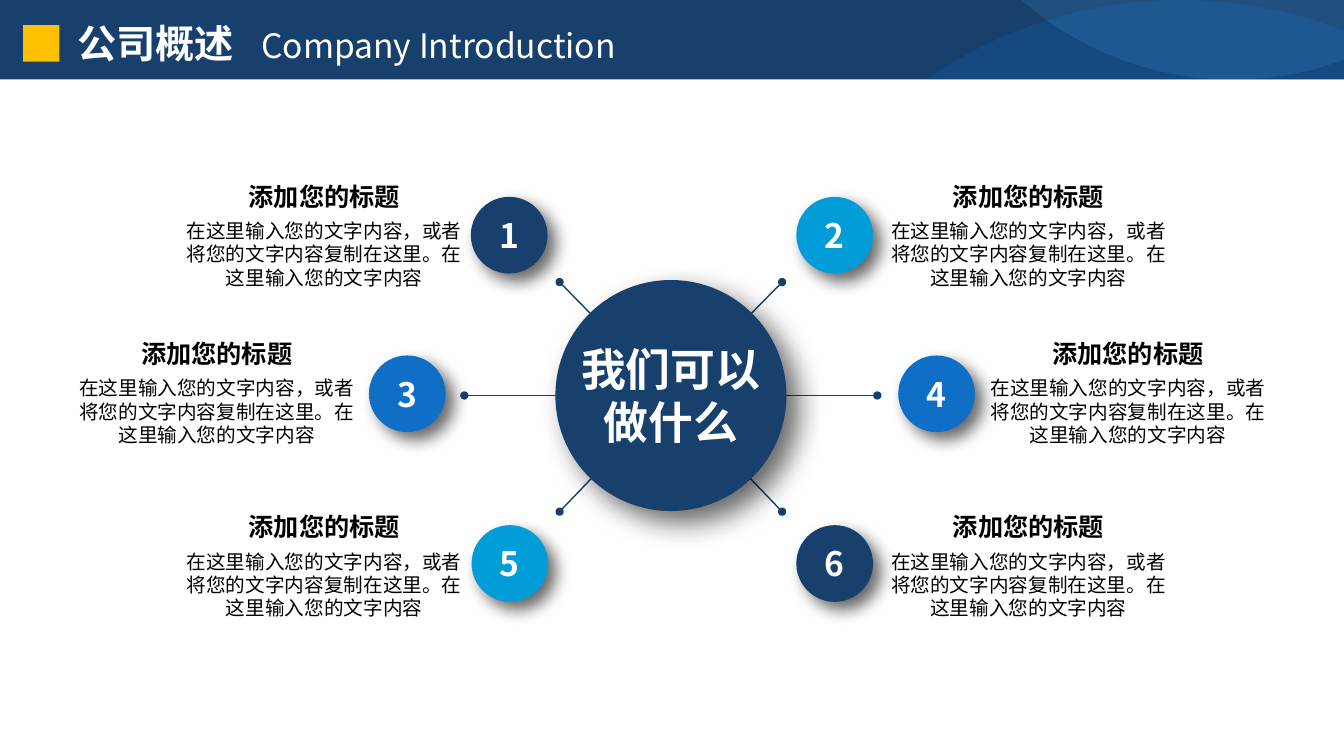
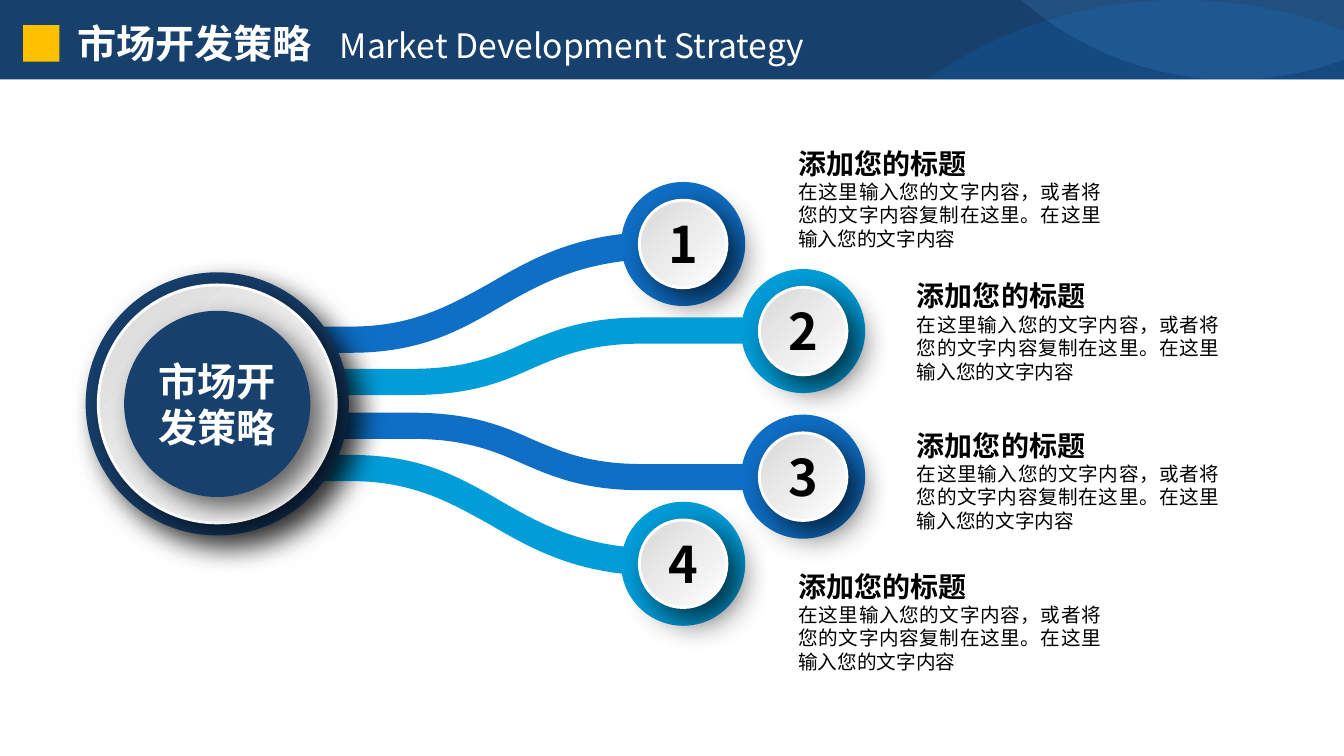
from lxml import etree
from pptx import Presentation
from pptx.dml.color import RGBColor
from pptx.enum import shapes, text
from pptx.oxml.ns import qn
from pptx.util import Pt

NAVY = RGBColor(0x17, 0x40, 0x6D)
BLUE = RGBColor(0x0F, 0x6F, 0xC6)
CYAN = RGBColor(0x00, 0x9D, 0xD9)
PALE_BLUE = RGBColor(0x59, 0xAA, 0xF2)
GOLD = RGBColor(0xFF, 0xC0, 0x00)
GREY = RGBColor(0xD9, 0xD9, 0xD9)
WHITE = RGBColor(0xFF, 0xFF, 0xFF)
BLACK = RGBColor(0x00, 0x00, 0x00)

FONT = "Noto Sans CJK SC"
LINE_HEIGHT = 1.19
PAGE_WIDTH, PAGE_HEIGHT, BAND_HEIGHT = 960, 540, 56.8
TITLE_SIZE, SUBTITLE_SIZE, TITLE_GAP = 28, 24, 19.5

HEADING = "添加您的标题"
BODY = "在这里输入您的文字内容，或者将您的文字内容复制在这里。在这里输入您的文字内容"

# Outlines are a start point, then segments: one point for a line, three for a curve.
WAVES = [
    (BLUE, 23, (843, 0), [
        [(884, 0), (924, 8), (960, 22)], [(960, BAND_HEIGHT)], [(662, BAND_HEIGHT)],
        [(713.5, 21), (776, 0), (843, 0)]]),
    (PALE_BLUE, 15, (960, 0), [
        [(960, 42.5)], [(935.3, 52), (908.6, BAND_HEIGHT), (880, BAND_HEIGHT)],
        [(822, BAND_HEIGHT), (770, 35), (729.4, 0)]]),
]
OUTER_RIBBON = ((-44, -55.2), [
    [(95.6, -55.2)],
    [(139.5, -55.2), (166, -70.3), (193.5, -85.5)],
    [(224.4, -103.5), (257.6, -122.9), (317.3, -122.9)],
    [(340.4, -122.9)], [(340.4, -103.5)], [(317.3, -103.5)],
    [(262.6, -103.5), (231.6, -86.2), (202.8, -69.6)],
    [(173.3, -52.3), (145.2, -36.5), (95.6, -36.5)],
    [(-44, -36.5)]])
INNER_RIBBON = ((-44, -25), [
    [(138.8, -25)],
    [(176.9, -25), (197.8, -33.6), (218.7, -43)],
    [(240.3, -52.3), (262.6, -61.7), (303.6, -61.7)],
    [(421, -61.7)], [(421, -43)], [(303.6, -43)],
    [(266.2, -43), (246, -34.3), (225.9, -25.7)],
    [(203.6, -15.6), (181.2, -6.3), (138.8, -6.3)],
    [(-44, -6.3)]])


def format_run(run, size, color, bold):
    run.font.size = Pt(size)
    run.font.bold = bold
    run.font.color.rgb = color
    run.font.name = FONT
    east_asian = etree.SubElement(run.font._element, qn("a:ea"))
    east_asian.set("typeface", FONT)


def format_frame(frame, size, color, bold, align):
    for paragraph in frame.paragraphs:
        paragraph.alignment = align
        paragraph.line_spacing = Pt(round(size * LINE_HEIGHT, 1))
        for run in paragraph.runs:
            format_run(run, size, color, bold)


def add_text(slide, left, top, width, height, words, size, bold, align):
    frame = slide.shapes.add_textbox(Pt(left), Pt(top), Pt(width), Pt(height)).text_frame
    frame.word_wrap = True
    frame.text = words
    format_frame(frame, size, BLACK, bold, align)


def set_fill(shape, color, opacity=100):
    """Plain fill, without outline or shadow."""
    shape.fill.solid()
    shape.fill.fore_color.rgb = color
    shape.line.fill.background()
    shape.shadow.inherit = False
    if opacity < 100:
        color_element = shape._element.spPr.find(qn("a:solidFill"))[0]
        etree.SubElement(color_element, qn("a:alpha")).set("val", str(opacity * 1000))


def add_shadow(shape, opacity, blur, distance):
    effects = shape._element.spPr.find(qn("a:effectLst"))
    shadow = etree.SubElement(effects, qn("a:outerShdw"), {
        "blurRad": str(Pt(blur)), "dist": str(Pt(distance)), "dir": str(45 * 60000),
        "algn": "tl", "rotWithShape": "0"})
    color = etree.SubElement(shadow, qn("a:srgbClr"), val=str(BLACK))
    etree.SubElement(color, qn("a:alpha")).set("val", str(opacity * 1000))


def add_box(parent, left, top, width, height, color):
    box = parent.shapes.add_shape(
        shapes.MSO_SHAPE.RECTANGLE, Pt(left), Pt(top), Pt(width), Pt(height))
    set_fill(box, color)


def add_disc(parent, center, diameter, color, shadow=None):
    x, y = center
    disc = parent.shapes.add_shape(
        shapes.MSO_SHAPE.OVAL, Pt(x - diameter / 2), Pt(y - diameter / 2),
        Pt(diameter), Pt(diameter))
    set_fill(disc, color)
    if shadow:
        add_shadow(disc, *shadow)
    return disc


def add_silver_disc(slide, center, diameter):
    disc = add_disc(slide, center, diameter, GREY, (70, 24, 12))
    disc.fill.gradient()
    disc.fill.gradient_angle = 135
    for stop, color in zip(disc.fill.gradient_stops, (WHITE, GREY)):
        stop.color.rgb = color
    disc.line.color.rgb = WHITE
    disc.line.width = Pt(2)
    return disc


def label_disc(disc, words, size, color):
    frame = disc.text_frame
    frame.word_wrap = False
    frame.margin_left = frame.margin_right = frame.margin_top = frame.margin_bottom = 0
    frame.vertical_anchor = text.MSO_ANCHOR.MIDDLE
    frame.text = words
    format_frame(frame, size, color, True, text.PP_ALIGN.CENTER)


def add_outline(parent, origin, start, segments, color, opacity=100, flip=1):
    """Closed outline relative to origin; flip -1 mirrors it top to bottom."""
    points = [(Pt(origin[0] + x), Pt(origin[1] + flip * y))
              for x, y in sum(segments, [start])]
    builder = parent.shapes.build_freeform(*points[0])
    builder.add_line_segments(points[1:], close=True)
    outline = builder.convert_to_shape()
    lines = iter(list(outline._element.iter(qn("a:lnTo"))))
    for segment in segments:
        first, *others = [next(lines) for _ in segment]
        if others:
            curve = etree.Element(qn("a:cubicBezTo"))
            first.addprevious(curve)
            for line in (first, *others):
                curve.append(line[0])
                line.getparent().remove(line)
    set_fill(outline, color, opacity)


def add_header(slide):
    band = slide.shapes.add_group_shape()
    add_box(band, 0, 0, PAGE_WIDTH, BAND_HEIGHT, NAVY)
    for color, opacity, start, segments in WAVES:
        add_outline(band, (0, 0), start, segments, color, opacity)
    slide.shapes._spTree.append(slide.shapes.title._element)
    add_box(slide, 16.5, 18, 26, 26, GOLD)


def add_titled_slide(presentation, chinese, english, title_width):
    slide = presentation.slides.add_slide(presentation.slide_layouts[5])
    add_header(slide)
    title = slide.shapes.title
    title.left, title.top, title.width, title.height = Pt(48), Pt(10.8), Pt(title_width), Pt(41)
    frame = title.text_frame
    frame.auto_size = text.MSO_AUTO_SIZE.NONE
    frame.vertical_anchor = text.MSO_ANCHOR.TOP
    frame.margin_left = frame.margin_right = Pt(7.2)
    frame.margin_top = frame.margin_bottom = Pt(3.6)
    paragraph = frame.paragraphs[0]
    tabs = etree.SubElement(paragraph._p.get_or_add_pPr(), qn("a:tabLst"))
    tab_position = Pt(len(chinese) * TITLE_SIZE + TITLE_GAP)
    etree.SubElement(tabs, qn("a:tab"), pos=str(tab_position), algn="l")
    paragraph.alignment = text.PP_ALIGN.LEFT
    paragraph.line_spacing = Pt(round(TITLE_SIZE * LINE_HEIGHT, 1))
    for words, size, bold in ((chinese + "\t", TITLE_SIZE, True),
                              (english, SUBTITLE_SIZE, False)):
        run = paragraph.add_run()
        run.text = words
        format_run(run, size, WHITE, bold)
    return slide


def add_spoke(slide, center, reach):
    """Line with round ends, from halfway to the full reach from the centre."""
    (x, y), (dx, dy) = center, reach
    spoke = slide.shapes.add_connector(
        shapes.MSO_CONNECTOR.STRAIGHT, Pt(x + dx / 2), Pt(y + dy / 2), Pt(x + dx), Pt(y + dy))
    spoke.line.color.rgb = NAVY
    spoke.line.width = Pt(1)
    properties = spoke._element.spPr
    for end in ("a:headEnd", "a:tailEnd"):
        etree.SubElement(properties.find(qn("a:ln")), qn(end), type="oval")
    etree.SubElement(properties, qn("a:effectLst"))


def add_centred_note(slide, left, top):
    width, heading_width = 217.4, 175.6
    center = text.PP_ALIGN.CENTER
    add_text(slide, left, top + 26.9, width, 58.3, BODY, 14, False, center)
    add_text(slide, left + (width - heading_width) / 2, top, heading_width, 28.8,
             HEADING, 18, True, center)


def add_left_note(slide, left, top):
    add_text(slide, left, top, 161.3, 31.7, HEADING, 20, True, text.PP_ALIGN.LEFT)
    add_text(slide, left, top + 24, 230.4, 58.3, BODY, 14, False, text.PP_ALIGN.JUSTIFY)


def add_radial_diagram(slide, center):
    for dx, dy in ((-79.5, -81), (79.5, -81), (-147.5, 0), (147.5, 0), (-79.5, 83), (79.5, 83)):
        add_spoke(slide, center, (dx, dy))
    rows = [  # badge centre y, note top, then colour, badge x and note left per side
        (-114.5, -156.5, (NAVY, -115.5, -356.3), (CYAN, 117, 146.8)),
        (-1.2, -44.2, (BLUE, -188.3, -433.1), (BLUE, 189.8, 217.8)),
        (120, 79.7, (CYAN, -115, -356.3), (NAVY, 117, 146.8)),
    ]
    x, y = center
    number = 1
    for badge_y, note_top, *sides in rows:
        for color, badge_x, note_left in sides:
            badge = add_disc(slide, (x + badge_x, y + badge_y), 54.8, color, (60, 12, 8))
            label_disc(badge, str(number), 24, WHITE)
            add_centred_note(slide, x + note_left, y + note_top)
            number += 1
    hub = add_disc(slide, center, 165, NAVY, (60, 20, 12))
    label_disc(hub, "我们可以\n做什么", 32, WHITE)


def add_branch_diagram(slide, center):
    x, y = center
    branches = [  # number, ribbon, flip, colour, node offset, note offset
        (1, OUTER_RIBBON, 1, BLUE, (332.8, 114.2), (408, -187.5)),
        (4, OUTER_RIBBON, -1, CYAN, (332.8, 114.2), (408, 114.7)),
        (2, INNER_RIBBON, 1, CYAN, (418.5, 52), (492.7, -92.6)),
        (3, INNER_RIBBON, -1, BLUE, (418.5, 52), (492.7, 14)),
    ]
    for number, (start, segments), flip, color, (dx, dy), (note_dx, note_dy) in branches:
        branch = slide.shapes.add_group_shape()
        add_outline(branch, center, start, segments, color, flip=flip)
        node = (x + dx, y - flip * dy)
        add_disc(branch, node, 88.6, color)
        label_disc(add_silver_disc(slide, node, 62.6), str(number), 36, BLACK)
        add_left_note(slide, x + note_dx, y + note_dy)
    add_disc(slide, center, 188, NAVY, (60, 20, 12))
    add_silver_disc(slide, center, 170)
    core = add_disc(slide, center, 133, NAVY, (60, 20, 12))
    label_disc(core, "市场开\n发策略", 28, WHITE)


def main():
    presentation = Presentation()
    presentation.slide_width, presentation.slide_height = Pt(PAGE_WIDTH), Pt(PAGE_HEIGHT)
    overview = add_titled_slide(presentation, "公司概述", "Company Introduction", 523.4)
    add_radial_diagram(overview, (479.2, 282.5))
    strategy = add_titled_slide(
        presentation, "市场开发策略", "Market Development Strategy", 578.2)
    add_branch_diagram(strategy, (155.2, 288.5))
    presentation.save("out.pptx")


if __name__ == "__main__":
    main()
